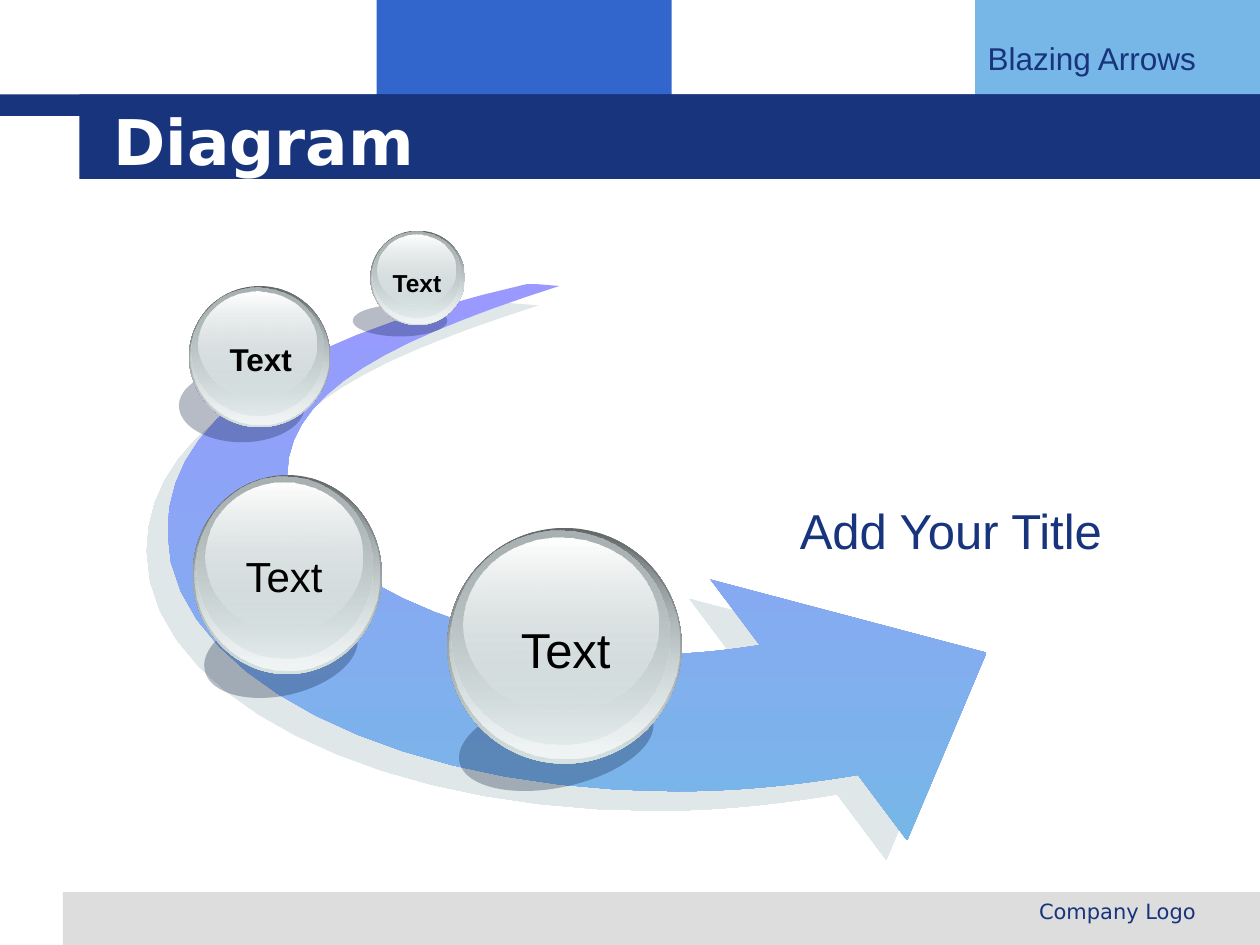
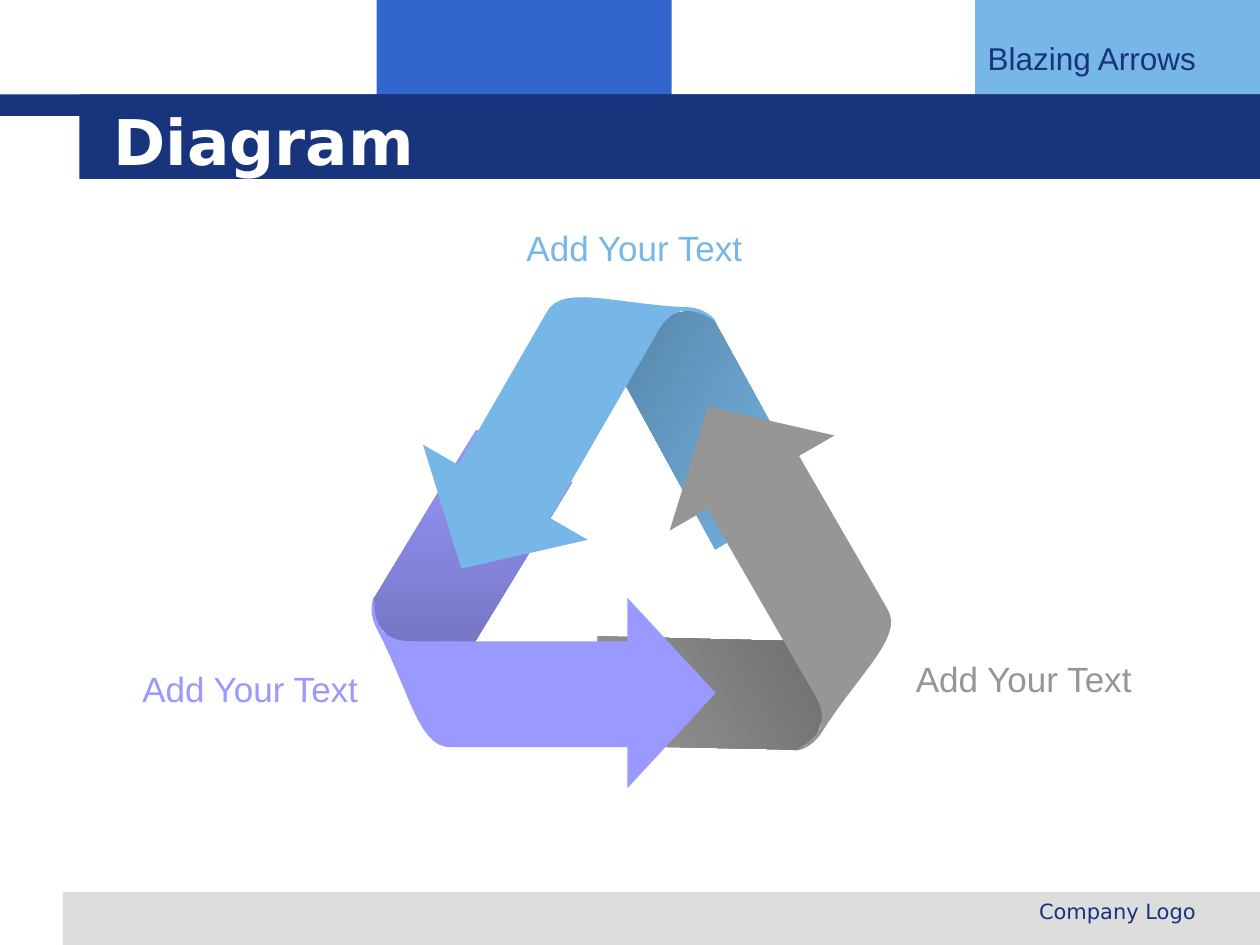
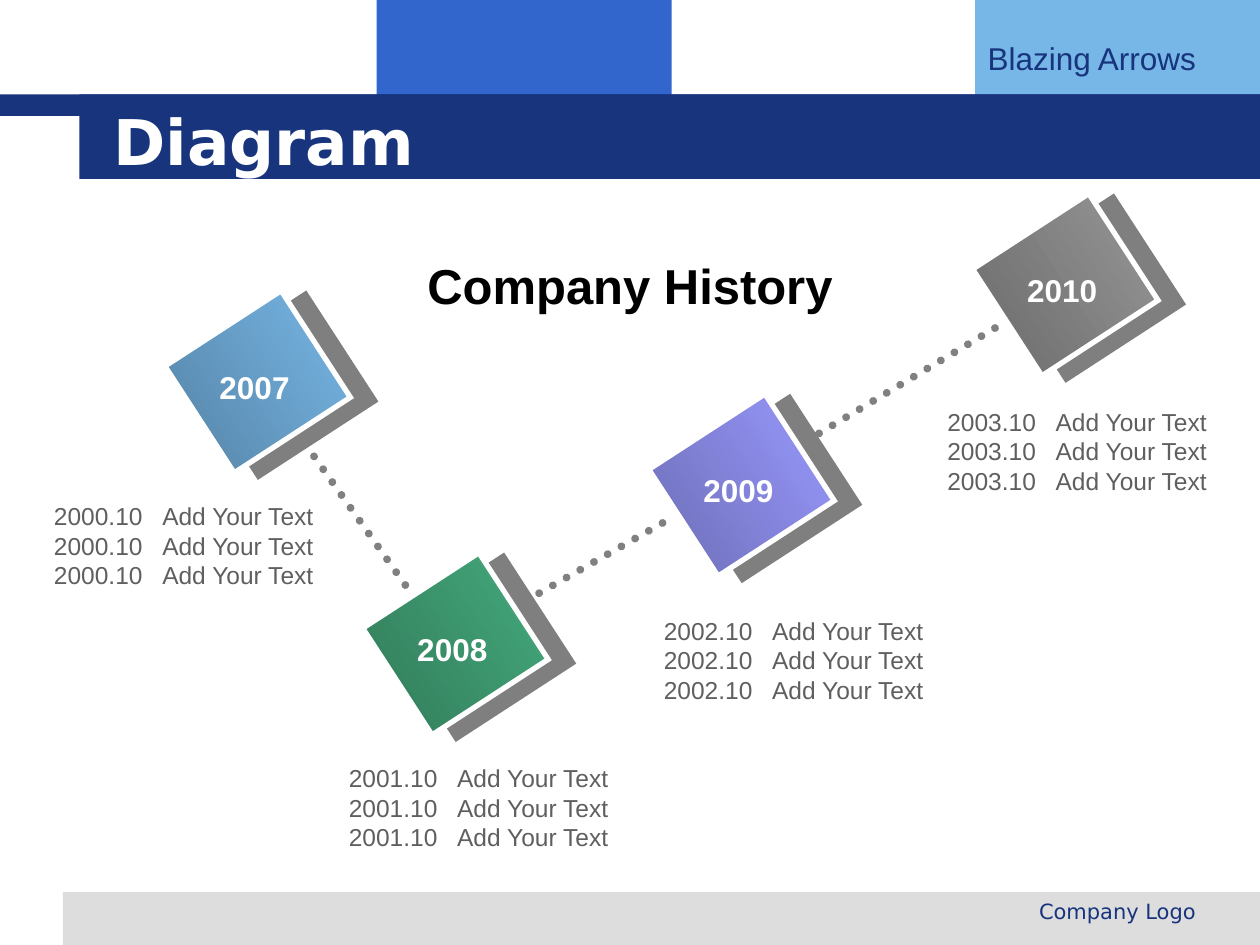
"""Builds three diagram slides: a swoosh arrow, a ribbon cycle and a company history."""
import math
from dataclasses import dataclass
from typing import Any, NamedTuple, Optional

import lxml.etree
import pptx
import pptx.dml.color
import pptx.enum.dml
import pptx.enum.shapes
import pptx.enum.text
import pptx.oxml.ns
import pptx.util

Inches = pptx.util.Inches
qn = pptx.oxml.ns.qn
Preset = pptx.enum.shapes.MSO_SHAPE
Align = pptx.enum.text.PP_ALIGN
Anchor = pptx.enum.text.MSO_ANCHOR
Point = tuple[float, float]


@dataclass(frozen=True)
class Theme:
    """Colours, fonts and type sizes of the presentation."""
    navy: str = "17347D"
    blue: str = "3366CC"
    sky: str = "77B7E7"
    sky_dark: str = "5583A5"
    violet: str = "9999FF"
    violet_dark: str = "6D6DB6"
    grey: str = "969696"
    grey_dark: str = "6B6B6B"
    green: str = "45AB7D"
    green_dark: str = "317A59"
    white: str = "FFFFFF"
    black: str = "000000"
    footer: str = "DDDDDD"
    dots: str = "808080"
    note: str = "5F5F5F"
    glass: str = "D6E1E2"
    glass_rim: str = "636869"
    glass_inner: str = "AAB2B3"
    glass_light: str = "F1F5F5"
    glass_shadow: str = "0F2145"
    swoosh_shadow: str = "C1D1D3"
    body_font: str = "Arial"
    title_font: str = "DejaVu Sans"
    title_size: int = 36
    heading_size: int = 28
    ball_size: int = 24
    label_size: int = 20
    year_size: int = 18
    note_size: int = 14
    footer_size: int = 12


THEME = Theme()


class Box(NamedTuple):
    """Left, top, width and height in inches."""
    left: float
    top: float
    width: float
    height: float

    def lengths(self) -> list[int]:
        """Return the four values as slide lengths."""
        return [Inches(value) for value in self]


class Paint(NamedTuple):
    """A solid colour, or a gradient when an end colour is given; alphas in percent."""
    start: str
    end: Optional[str] = None
    angle: int = 90
    alphas: tuple[int, ...] = (100, 100)


class Shadow(NamedTuple):
    """A hard half-transparent shadow; distance in points, direction in degrees."""
    color: str
    distance: float
    direction: int


@dataclass(frozen=True)
class Style:
    """How a text looks."""
    size: int
    color: str
    bold: bool = False
    align: Any = Align.LEFT
    font: str = THEME.body_font


class Sphere(NamedTuple):
    """A glass ball with its cast shadow and label."""
    ball: Box
    cast: Box
    cast_rotation: float
    label: Box
    size: int
    bold: bool


class Arm(NamedTuple):
    """One arrow of the ribbon: the model arm turned about a centre."""
    color: str
    dark: str
    turn: int
    center: Point


class Milestone(NamedTuple):
    """A year on a tilted square, with its dated notes."""
    year: str
    left: float
    top: float
    paint: Paint
    date: str
    note_left: float
    note_top: float


def rgb(color: str) -> pptx.dml.color.RGBColor:
    """Turn a hex string into a colour."""
    return pptx.dml.color.RGBColor.from_string(color)


def curve(start: Point, pull: Point, push: Point, end: Point, steps: int = 14) -> list[Point]:
    """Sample a cubic Bezier curve, both ends included."""
    points = []
    for step in range(steps + 1):
        t = step / steps
        weights = ((1 - t) ** 3, 3 * t * (1 - t) ** 2, 3 * t ** 2 * (1 - t), t ** 3)
        corners = (start, pull, push, end)
        points.append((sum(w * x for w, (x, _) in zip(weights, corners)),
                       sum(w * y for w, (_, y) in zip(weights, corners))))
    return points


def paint_shape(shape: Any, paint: Paint, shadow: Optional[Shadow] = None) -> None:
    """Fill a shape, drop its outline and set its shadow."""
    properties = shape.element.spPr
    if paint.end:
        shape.fill.gradient()
        shape.fill.gradient_angle = (360 - paint.angle) % 360
        for stop, color in zip(shape.fill.gradient_stops, (paint.start, paint.end)):
            stop.color.rgb = rgb(color)
    else:
        shape.fill.solid()
        shape.fill.fore_color.rgb = rgb(paint.start)
    for color, alpha in zip(list(properties.iter(qn("a:srgbClr"))), paint.alphas):
        if alpha < 100:
            lxml.etree.SubElement(color, qn("a:alpha"), val=str(alpha * 1000))
    shape.line.fill.background()
    shape.shadow.inherit = False
    if shadow:
        outer = lxml.etree.SubElement(
            properties.find(qn("a:effectLst")), qn("a:outerShdw"),
            dist=str(pptx.util.Pt(shadow.distance)), dir=str(shadow.direction * 60000),
            algn="ctr", rotWithShape="0")
        color = lxml.etree.SubElement(outer, qn("a:srgbClr"), val=shadow.color)
        lxml.etree.SubElement(color, qn("a:alpha"), val="50000")


def add_preset(shapes: Any, kind: Any, box: Box, paint: Paint, rotation: float = 0,
               shadow: Optional[Shadow] = None) -> Any:
    """Add a painted preset shape."""
    shape = shapes.add_shape(kind, *box.lengths())
    shape.rotation = rotation
    paint_shape(shape, paint, shadow)
    return shape


def add_outline(shapes: Any, points: list[Point], paint: Paint,
                shadow: Optional[Shadow] = None) -> None:
    """Add a painted closed outline through points given in inches."""
    corners = [(Inches(x), Inches(y)) for x, y in points]
    builder = shapes.build_freeform(*corners[0])
    builder.add_line_segments(corners[1:], close=True)
    paint_shape(builder.convert_to_shape(), paint, shadow)


def write(shape: Any, text: str, style: Style, wrap: bool = True) -> None:
    """Put styled text into a shape."""
    shape.text_frame.text = text
    shape.text_frame.word_wrap = wrap
    for paragraph in shape.text_frame.paragraphs:
        paragraph.alignment = style.align
        paragraph.font.name = style.font
        paragraph.font.size = pptx.util.Pt(style.size)
        paragraph.font.bold = style.bold
        paragraph.font.color.rgb = rgb(style.color)


def add_text(shapes: Any, box: Box, text: str, style: Style, wrap: bool = True) -> Any:
    """Add a text box."""
    text_box = shapes.add_textbox(*box.lengths())
    write(text_box, text, style, wrap)
    return text_box


def decorate_layout(layout: Any, slide: Any) -> None:
    """Draw the bands on a slide and move them behind everything on the layout."""
    bands = [
        (Box(2.99, 0, 2.34, 0.92), THEME.blue),
        (Box(7.74, 0, 2.26, 0.92), THEME.sky),
        (Box(0.5, 7.08, 9.5, 0.42), THEME.footer),
        (Box(0, 0.75, 10, 0.17), THEME.navy),
        (Box(0.63, 0.75, 9.37, 0.67), THEME.navy),
    ]
    for position, (box, color) in enumerate(bands):
        band = add_preset(slide.shapes, Preset.RECTANGLE, box, Paint(color))
        if color == THEME.sky:
            write(band, "Blazing Arrows", Style(THEME.year_size, THEME.navy), wrap=False)
            band.text_frame.vertical_anchor = Anchor.MIDDLE
        layout.shapes.element.insert(2 + position, band.element)


def add_diagram_slide(presentation: Any, layout: Any) -> Any:
    """Add a slide with the shared title and footer."""
    slide = presentation.slides.add_slide(layout)
    title = slide.shapes.title
    title.left, title.top, title.width, title.height = Box(0.8, 0.8, 8.53, 0.62).lengths()
    write(title, "Diagram", Style(THEME.title_size, THEME.white, True, font=THEME.title_font))
    title.text_frame.vertical_anchor = Anchor.MIDDLE
    title.text_frame.auto_size = pptx.enum.text.MSO_AUTO_SIZE.NONE
    add_text(slide.shapes, Box(6.42, 7.08, 3.17, 0.35), "Company Logo",
             Style(THEME.footer_size, THEME.navy, align=Align.RIGHT, font=THEME.title_font))
    return slide


# Glass layers: offset and size as shares of the ball, then the paint.
GLASS_LAYERS = [
    (Box(0, 0, 1, 1), Paint(THEME.glass_rim, THEME.glass)),
    (Box(0.01, 0.01, 0.98, 0.97), Paint(THEME.glass, THEME.glass_light, alphas=(0, 100))),
    (Box(0.02, 0.01, 0.93, 0.91), Paint(THEME.glass_inner, THEME.glass, alphas=(100, 48))),
    (Box(0.07, 0.04, 0.83, 0.74), Paint(THEME.white, THEME.glass, alphas=(100, 38))),
]

SPHERES = [
    Sphere(Box(3.55, 4.19, 1.86, 1.87), Box(3.63, 5.52, 1.57, 0.73), 347.9,
           Box(4.01, 4.87, 0.96, 0.57), THEME.heading_size, False),
    Sphere(Box(1.53, 3.77, 1.5, 1.58), Box(1.61, 4.85, 1.24, 0.67), 347.1,
           Box(1.83, 4.32, 0.85, 0.5), THEME.ball_size, False),
    Sphere(Box(1.5, 2.27, 1.12, 1.12), Box(1.42, 2.93, 1, 0.58), 0,
           Box(1.71, 2.65, 0.72, 0.4), THEME.year_size, True),
    Sphere(Box(2.94, 1.83, 0.75, 0.75), Box(2.8, 2.42, 0.75, 0.25), 0,
           Box(3.01, 2.08, 0.6, 0.33), THEME.note_size, True),
]


def swoosh_outline() -> list[Point]:
    """Trace the swoosh: down the outer edge, round the head, back up the inner edge."""
    outer_tail, outer_left, outer_bottom = (4.2, 2.25), (1.33, 4.22), (5.37, 6.28)
    inner_tail, inner_left, inner_bottom = (4.44, 2.27), (2.28, 3.77), (5.26, 5.19)
    outer_neck, inner_neck = (6.81, 6.15), (6.03, 5.12)
    head = [(7.2, 6.67), (7.83, 5.18), (5.64, 4.6)]
    return [
        *curve(outer_tail, (2.37, 2.67), (1.33, 3.28), outer_left),
        *curve(outer_left, (1.33, 5.37), (3.13, 6.28), outer_bottom),
        *curve(outer_bottom, (5.85, 6.28), (6.33, 6.23), outer_neck),
        *head,
        *curve(inner_neck, (5.77, 5.16), (5.52, 5.19), inner_bottom),
        *curve(inner_bottom, (3.74, 5.19), (2.28, 4.49), inner_left),
        *curve(inner_left, (2.28, 3.09), (3.16, 2.68), inner_tail),
    ]


def draw_sphere(slide: Any, sphere: Sphere) -> None:
    """Draw a glass ball as one group."""
    shapes = slide.shapes.add_group_shape().shapes
    add_preset(shapes, Preset.OVAL, sphere.cast, Paint(THEME.glass_shadow, alphas=(30,)),
               sphere.cast_rotation)
    ball = sphere.ball
    for share, paint in GLASS_LAYERS:
        box = Box(ball.left + share.left * ball.width, ball.top + share.top * ball.height,
                  share.width * ball.width, share.height * ball.height)
        add_preset(shapes, Preset.OVAL, box, paint)
    add_text(shapes, sphere.label, "Text",
             Style(sphere.size, THEME.black, sphere.bold, Align.CENTER), wrap=False)


def draw_swoosh(slide: Any) -> None:
    """Draw the curved arrow with its four spheres."""
    add_outline(slide.shapes, swoosh_outline(), Paint(THEME.violet, THEME.sky),
                Shadow(THEME.swoosh_shadow, 16.3, 137))
    add_text(slide.shapes, Box(6.25, 3.92, 2.92, 0.57), "Add Your Title",
             Style(THEME.heading_size, THEME.navy))
    for sphere in SPHERES:
        draw_sphere(slide, sphere)


# The model arm points right along the bottom; the other two arms are turns of it.
MODEL_CENTER = (4.99, 4.41)
SHAFT_TOP, SHAFT_BOTTOM = 5.09, 5.93
FOLD = [(4.54, 3.83), (3.49, 5.55), (2.96, 4.9), (2.97, 4.75), (3.78, 3.41)]
SHAFT = [(5.27, SHAFT_TOP), (3.52, SHAFT_TOP), (3.53, 5.52), (3.59, SHAFT_BOTTOM),
         (5.27, SHAFT_BOTTOM)]
BEND_SIDE, BEND_TIP = (2.98, 4.97), (2.97, 4.73)
BEND = [
    (3.59, SHAFT_TOP),
    *curve((3.59, SHAFT_BOTTOM), (3.32, 5.95), (3.26, 5.5), BEND_SIDE),
    *curve(BEND_SIDE, (2.94, 4.88), (2.94, 4.8), BEND_TIP),
    *curve(BEND_TIP, (2.96, 5), (3.07, SHAFT_TOP), (3.27, SHAFT_TOP)),
]
HEAD_CENTER, HEAD_WIDTH, HEAD_LENGTH = (5.33, 5.5), 1.51, 0.7

ARMS = [
    Arm(THEME.sky, THEME.sky_dark, 120, (4.95, 4.46)),
    Arm(THEME.grey, THEME.grey_dark, 240, (5.02, 4.37)),
    Arm(THEME.violet, THEME.violet_dark, 0, MODEL_CENTER),
]


def turned(points: list[Point], arm: Arm) -> list[Point]:
    """Turn points of the model arm clockwise into the place of another arm."""
    cosine, sine = math.cos(math.radians(arm.turn)), math.sin(math.radians(arm.turn))
    offsets = [(x - MODEL_CENTER[0], y - MODEL_CENTER[1]) for x, y in points]
    return [(arm.center[0] + x * cosine - y * sine, arm.center[1] + x * sine + y * cosine)
            for x, y in offsets]


def draw_ribbon(slide: Any) -> None:
    """Draw the folded three-arrow cycle and its labels."""
    shapes = slide.shapes.add_group_shape().shapes
    for arm in ARMS:
        add_outline(shapes, turned(FOLD, arm), Paint(arm.color, arm.dark, 90 + arm.turn))
    for arm in ARMS:
        paint = Paint(arm.color)
        [(x, y)] = turned([HEAD_CENTER], arm)
        box = Box(x - HEAD_WIDTH / 2, y - HEAD_LENGTH / 2, HEAD_WIDTH, HEAD_LENGTH)
        add_preset(shapes, Preset.ISOSCELES_TRIANGLE, box, paint, 90 + arm.turn)
        for part in (SHAFT, BEND):
            add_outline(shapes, turned(part, arm), paint)
    for box, color, align in [
        (Box(0.5, 5.25, 2.44, 0.43), THEME.violet, Align.RIGHT),
        (Box(7.17, 5.17, 2.44, 0.43), THEME.grey, Align.LEFT),
        (Box(3.25, 1.75, 3.57, 0.43), THEME.sky, Align.CENTER),
    ]:
        add_text(slide.shapes, box, "Add Your Text",
                 Style(THEME.label_size, color, align=align))


MILESTONES = [
    Milestone("2007", 1.54, 2.48, Paint(THEME.sky, THEME.sky_dark), "2000.10", 0.33, 3.93),
    Milestone("2008", 3.11, 4.56, Paint(THEME.green, THEME.green_dark), "2001.10", 2.67, 6.01),
    Milestone("2009", 5.38, 3.3, Paint(THEME.violet, THEME.violet_dark), "2002.10", 5.17, 4.84),
    Milestone("2010", 7.95, 1.71, Paint(THEME.grey, THEME.grey_dark), "2003.10", 7.42, 3.18),
]
LINKS = [(2.42, 3.52, 3.25, 4.69), (4.17, 4.77, 5.33, 4.11), (6.5, 3.44, 7.92, 2.59)]


def draw_milestone(slide: Any, milestone: Milestone) -> None:
    """Draw a tilted square with its year and three dated notes."""
    left, top = milestone.left, milestone.top
    square = add_preset(slide.shapes, Preset.RECTANGLE, Box(left, top, 1.01, 1.1),
                        milestone.paint, 57, Shadow(THEME.black, 14.1, 8))
    square.line.color.rgb = rgb(THEME.white)
    square.line.width = pptx.util.Pt(3)
    lxml.etree.SubElement(square.element.spPr.find(qn("a:ln")), qn("a:miter"), lim="800000")
    add_text(slide.shapes, Box(left + 0.1, top + 0.39, 0.76, 0.4), milestone.year,
             Style(THEME.year_size, THEME.white, True, Align.CENTER), wrap=False)
    notes = add_text(slide.shapes, Box(milestone.note_left, milestone.note_top, 2.4, 0.8),
                     "\n".join([f"{milestone.date}\tAdd Your Text"] * 3),
                     Style(THEME.note_size, THEME.note))
    for properties in notes.element.iter(qn("a:pPr")):
        tabs = lxml.etree.Element(qn("a:tabLst"))
        lxml.etree.SubElement(tabs, qn("a:tab"), pos=str(Inches(0.86)), algn="l")
        properties.insert(0, tabs)


def draw_history(slide: Any) -> None:
    """Draw the timeline of milestones joined by dotted lines."""
    for milestone in MILESTONES:
        draw_milestone(slide, milestone)
    for link in LINKS:
        connector = slide.shapes.add_connector(
            pptx.enum.shapes.MSO_CONNECTOR.STRAIGHT, *[Inches(value) for value in link])
        connector.line.color.rgb = rgb(THEME.dots)
        connector.line.width = pptx.util.Pt(4.5)
        connector.line.dash_style = pptx.enum.dml.MSO_LINE.ROUND_DOT
        properties = connector.element.spPr
        properties.find(qn("a:ln")).set("cap", "rnd")
        lxml.etree.SubElement(properties, qn("a:effectLst"))
    add_text(slide.shapes, Box(2.75, 1.98, 4.5, 0.57), "Company History",
             Style(THEME.heading_size, THEME.black, True, Align.CENTER))


def main() -> None:
    """Build and save the presentation."""
    presentation = pptx.Presentation()
    presentation.slide_width, presentation.slide_height = Inches(10), Inches(7.5)
    layout = presentation.slide_layouts.get_by_name("Title Only")
    slides = [add_diagram_slide(presentation, layout) for _ in range(3)]
    decorate_layout(layout, slides[0])
    for slide, draw in zip(slides, (draw_swoosh, draw_ribbon, draw_history)):
        draw(slide)
    presentation.save("out.pptx")


main()
